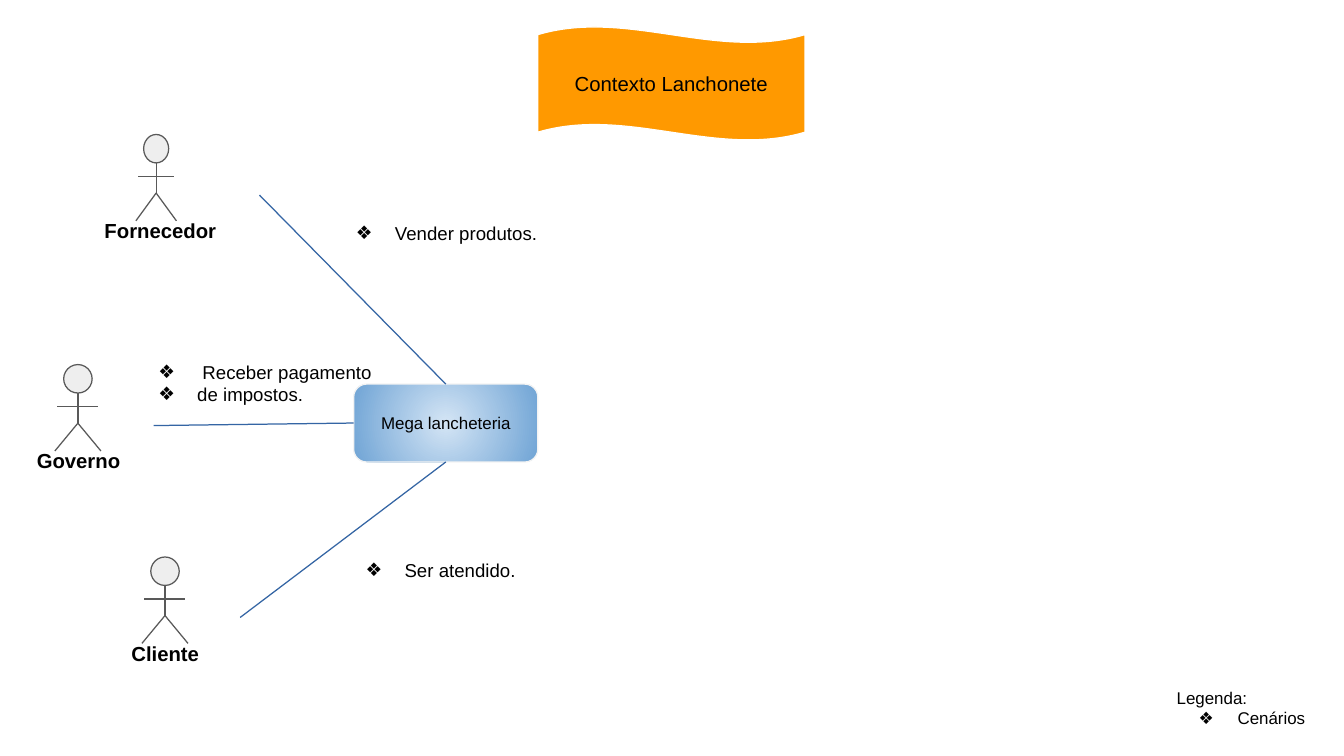
"""Builds the context diagram of a snack bar with its actors and scenarios."""
import pptx
import pptx.dml.color
import pptx.enum.shapes
import pptx.enum.text
import pptx.oxml
import pptx.oxml.ns
import pptx.util

Pt = pptx.util.Pt
Kind = pptx.enum.shapes.MSO_SHAPE
Align = pptx.enum.text.PP_ALIGN
Anchor = pptx.enum.text.MSO_ANCHOR

SLIDE_SIZE = (793.44, 446.4)
BLACK, OUTLINE, LINK = "000000", "595959", "3465A4"
INSET = 7.2
BULLET = "\u2756"
BULLET_LEFT, BULLET_HANG = 36, -23

TITLE = ("Contexto Lanchonete", (317.5, 15.8, 157.7, 67))
SYSTEM = ("Mega lancheteria", (208.8, 226.8, 108.7, 46))
GRADIENT = ("D4E5F5", "70A4D5")

ACTORS = [
    {"name": "Governo", "center": 46, "top": 215.3, "scale": 1, "label": (46.4, 88.6)},
    {"name": "Fornecedor", "center": 92.2, "top": 79.4, "scale": 0.88, "label": (94.7, 116)},
    {"name": "Cliente", "center": 97.4, "top": 328.9, "scale": 1, "label": (97.6, 88.6)},
]
HEAD = 16.8
LIMBS = [
    ((0, 17), (0, 34.6)),
    ((-12.1, 24.8), (12.1, 24.8)),
    ((0, 34.6), (-13.6, 51)),
    ((0, 34.6), (13.6, 51)),
]
LABEL_TOP, LABEL_HEIGHT = 42.4, 29.5

NOTES = [
    {"box": (190.1, 124.6, 263.5, 97.2), "size": 11, "lines": [("Vender produtos.", True)]},
    {"box": (195.8, 323.3, 263.5, 72), "size": 11, "lines": [("Ser atendido.", True)]},
    {"box": (73.4, 205.9, 263.5, 72), "size": 11,
     "lines": [(" Receber pagamento", True), ("de impostos.", True)]},
    {"box": (687.6, 398.9, 100, 41), "size": 10,
     "lines": [("Legenda:", False), ("Cenários", True)]},
]
LINKS = [
    ((153.2, 115.2), (263.2, 226.8)),
    ((141.8, 364.6), (263.2, 272.8)),
    ((90.7, 251.3), (208.8, 249.8)),
]


def color(value):
    return pptx.dml.color.RGBColor.from_string(value)


def style_line(line, value, width=0.74):
    line.color.rgb = color(value)
    line.width = Pt(width)


def write(shape, lines, size, align=Align.LEFT, anchor=Anchor.TOP, bold=False):
    frame = shape.text_frame
    frame_format = {"word_wrap": True, "vertical_anchor": anchor}
    for side in ("left", "top", "right", "bottom"):
        frame_format["margin_" + side] = Pt(INSET)
    for name, value in frame_format.items():
        setattr(frame, name, value)
    for index, (text, bulleted) in enumerate(lines):
        paragraph = frame.add_paragraph() if index else frame.paragraphs[0]
        paragraph.alignment = align
        run = paragraph.add_run()
        run.text = text
        for name, value in {"name": "Arial", "size": Pt(size), "bold": bold}.items():
            setattr(run.font, name, value)
        run.font.color.rgb = color(BLACK)
        if bulleted:
            add_bullet(paragraph)


def add_bullet(paragraph):
    properties = paragraph._p.get_or_add_pPr()
    properties.set("marL", str(Pt(BULLET_LEFT)))
    properties.set("indent", str(Pt(BULLET_HANG)))
    namespace = pptx.oxml.ns.nsdecls("a")
    for xml in (
        f'<a:buClr {namespace}><a:srgbClr val="{BLACK}"/></a:buClr>',
        f'<a:buFont {namespace} typeface="Arial"/>',
        f'<a:buChar {namespace} char="{BULLET}"/>',
    ):
        properties.append(pptx.oxml.parse_xml(xml))


def add_shape(shapes, kind, box, line, fill=None):
    shape = shapes.add_shape(kind, *map(Pt, box))
    shape.shadow.inherit = False
    style_line(shape.line, line)
    if fill:
        shape.fill.solid()
        shape.fill.fore_color.rgb = color(fill)
    return shape


def add_line(shapes, start, end, value, width=0.74):
    straight = pptx.enum.shapes.MSO_CONNECTOR.STRAIGHT
    connector = shapes.add_connector(straight, *map(Pt, start + end))
    style_line(connector.line, value, width)
    effects = f'<a:effectLst {pptx.oxml.ns.nsdecls("a")}/>'
    connector._element.spPr.append(pptx.oxml.parse_xml(effects))


def fill_radial(shape, colors):
    shape.fill.gradient()
    for stop, value in zip(shape.fill.gradient_stops, colors):
        stop.color.rgb = color(value)
    gradient = shape._element.spPr.find(pptx.oxml.ns.qn("a:gradFill"))
    gradient.remove(gradient.find(pptx.oxml.ns.qn("a:lin")))
    gradient.append(pptx.oxml.parse_xml(
        f'<a:path {pptx.oxml.ns.nsdecls("a")} path="circle">'
        '<a:fillToRect l="50000" t="50000" r="50000" b="50000"/></a:path>'))


def add_actor(slide, actor):
    shapes = slide.shapes.add_group_shape().shapes
    center, top, scale = actor["center"], actor["top"], actor["scale"]
    head_width = HEAD * scale
    head_box = (center - head_width / 2, top, head_width, HEAD)
    add_shape(shapes, Kind.FLOWCHART_CONNECTOR, head_box, OUTLINE, "EEEEEE")
    for limb in LIMBS:
        start, end = [(center + x * scale, top + y) for x, y in limb]
        add_line(shapes, start, end, OUTLINE)
    middle, width = actor["label"]
    label_box = (middle - width / 2, top + LABEL_TOP, width, LABEL_HEIGHT)
    label = shapes.add_textbox(*map(Pt, label_box))
    write(label, [(actor["name"], False)], 12, Align.CENTER, bold=True)


presentation = pptx.Presentation()
presentation.slide_width, presentation.slide_height = map(Pt, SLIDE_SIZE)
slide = presentation.slides.add_slide(presentation.slide_layouts[6])

title_text, title_box = TITLE
title = add_shape(slide.shapes, Kind.WAVE, title_box, "FFFFFF", "FF9900")
title.adjustments[0] = 0.07
write(title, [(title_text, False)], 12, Align.CENTER, Anchor.MIDDLE)

system_text, system_box = SYSTEM
system = add_shape(slide.shapes, Kind.ROUNDED_RECTANGLE, system_box, "F3F3F3")
fill_radial(system, GRADIENT)
write(system, [(system_text, False)], 10, Align.CENTER, Anchor.MIDDLE)

for actor in ACTORS:
    add_actor(slide, actor)
for note in NOTES:
    text_box = slide.shapes.add_textbox(*map(Pt, note["box"]))
    write(text_box, note["lines"], note["size"])
for start, end in LINKS:
    add_line(slide.shapes, start, end, LINK, 0.75)

presentation.save("out.pptx")
